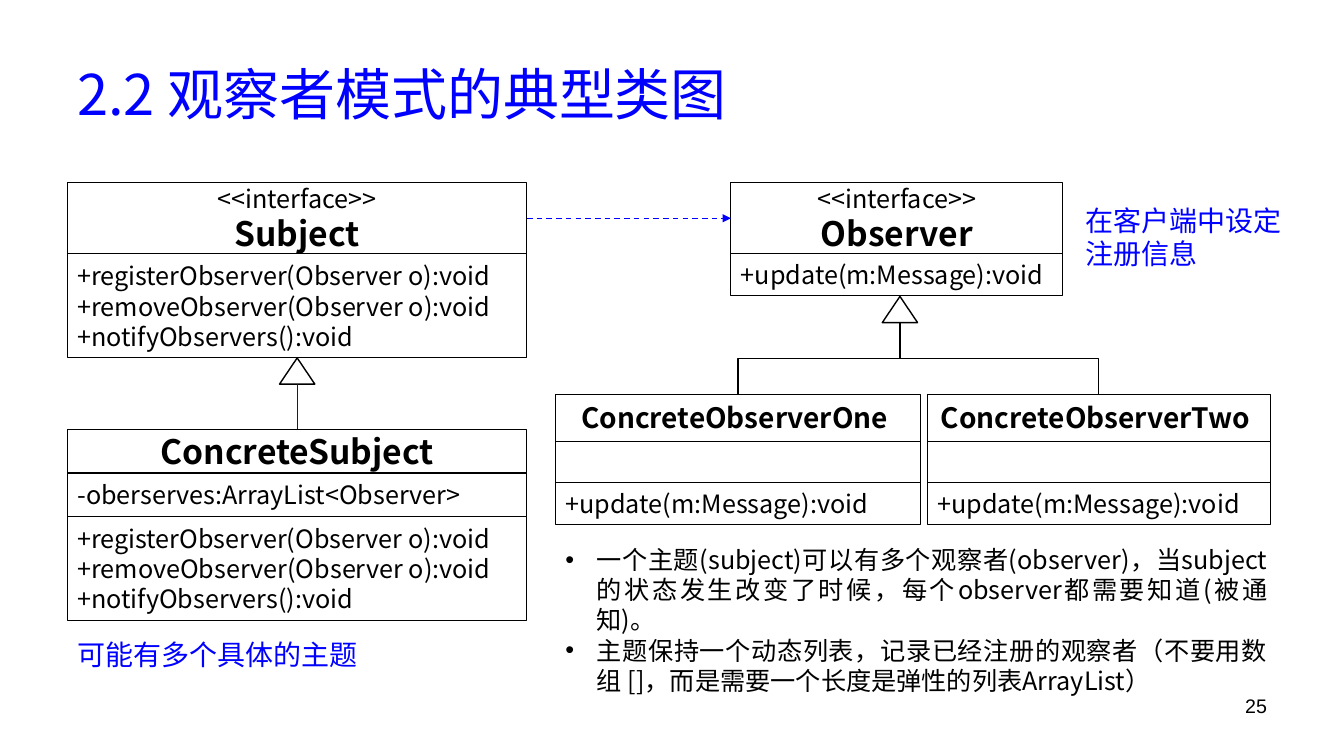
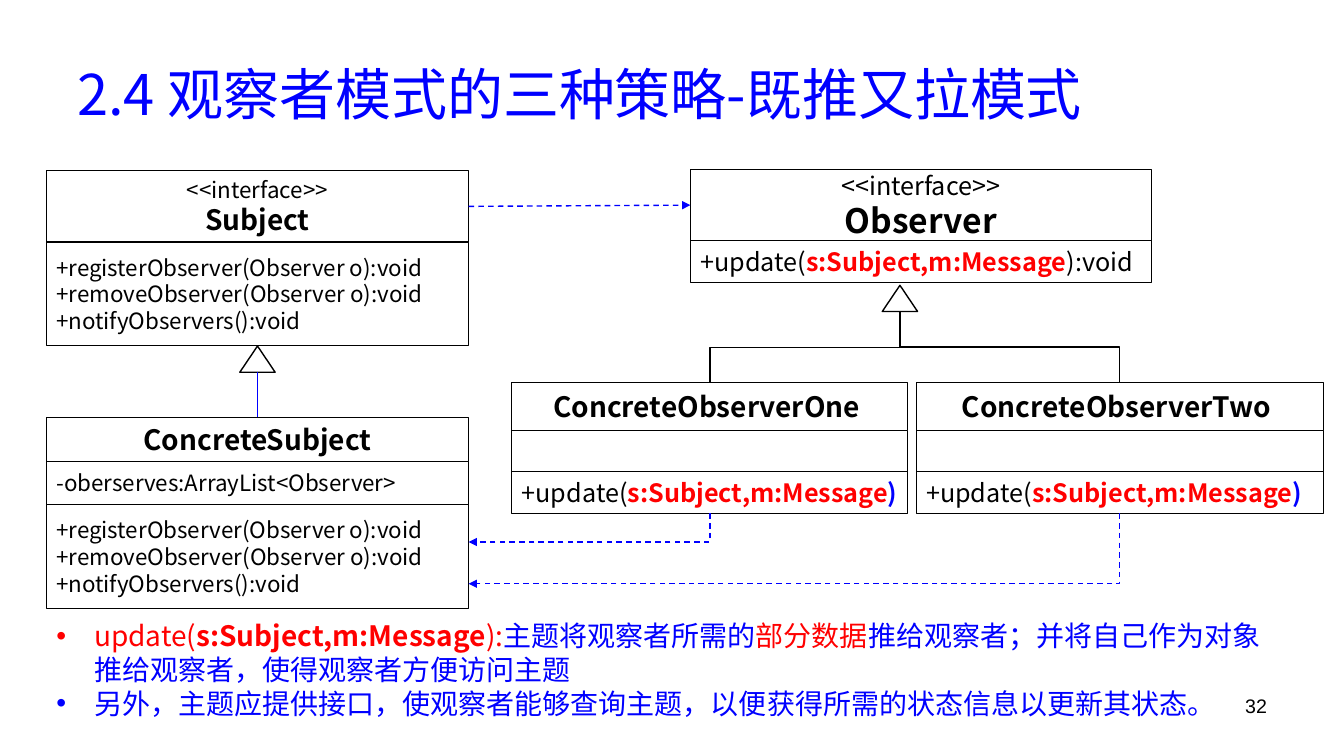
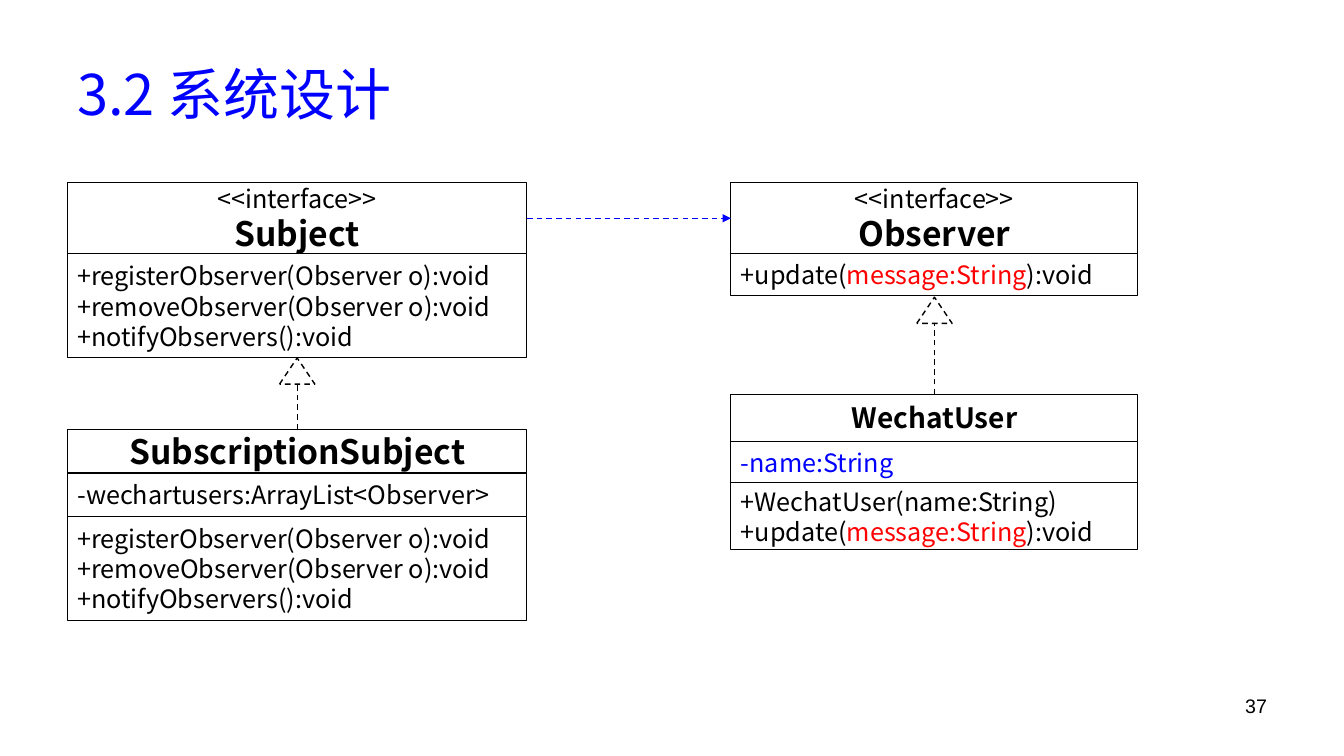
from lxml import etree
from pptx import Presentation
from pptx import util as u
from pptx.dml.color import RGBColor
from pptx.enum import dml, shapes, text
from pptx.oxml.ns import qn

BLACK = RGBColor(0x00, 0x00, 0x00)
WHITE = RGBColor(0xFF, 0xFF, 0xFF)
BLUE = RGBColor(0x00, 0x00, 0xFF)
RED = RGBColor(0xFF, 0x00, 0x00)

TEXT_FONT = "Noto Sans CJK SC"
NUMBER_FONT = "Arial"

INTERFACE_HEIGHT = 1.8
SUBJECT_NAME_HEIGHT = 1.1
OBSERVER_NAME_HEIGHT = 1.19
METHODS_HEIGHT = 2.62
MEMBER_HEIGHT = 1.05
TRIANGLE_WIDTH, TRIANGLE_HEIGHT = 0.89, 0.66

SUBJECT_METHODS = [
    "+registerObserver(Observer o):void",
    "+removeObserver(Observer o):void",
    "+notifyObservers():void",
]
UPDATE_MESSAGE = "+update(m:Message):void"
UPDATE_STRING = ["+update(", ("message:String", RED, False), "):void"]
PUSHED_ARGUMENTS = ("s:Subject,m:Message", RED, True)


def set_font(font, size, color, bold=False, name=TEXT_FONT):
    font.size = u.Pt(size)
    font.bold = bold
    font.color.rgb = color
    font.name = name
    etree.SubElement(font._rPr, qn("a:ea"), typeface=name)


def write_paragraph(paragraph, content, size, color=BLACK, bold=False,
                    name=TEXT_FONT, align=text.PP_ALIGN.LEFT):
    """Content is a string, or a list of strings and (text, color, bold) runs."""
    paragraph.alignment = align
    set_font(paragraph.font, size, color, bold, name)
    for piece in [content] if isinstance(content, str) else content:
        run = paragraph.add_run()
        if isinstance(piece, str):
            run.text = piece
        else:
            run.text, run.font.color.rgb, run.font.bold = piece


def next_paragraph(frame, index):
    return frame.paragraphs[0] if index == 0 else frame.add_paragraph()


def add_text(slide, left, top, width, height, content, size, color=BLACK,
             anchor=text.MSO_ANCHOR.TOP, **style):
    box = slide.shapes.add_textbox(u.Cm(left), u.Cm(top), u.Cm(width), u.Cm(height))
    frame = box.text_frame
    frame.word_wrap = True
    frame.vertical_anchor = anchor
    write_paragraph(frame.paragraphs[0], content, size, color, **style)


def add_bullets(slide, left, top, width, height, items, size, color, indent, align):
    box = slide.shapes.add_textbox(u.Cm(left), u.Cm(top), u.Cm(width), u.Cm(height))
    box.text_frame.word_wrap = True
    for index, item in enumerate(items):
        paragraph = next_paragraph(box.text_frame, index)
        properties = paragraph._p.get_or_add_pPr()
        properties.set("marL", str(u.Cm(indent)))
        properties.set("indent", str(-u.Cm(indent)))
        etree.SubElement(properties, qn("a:buFont"), typeface=NUMBER_FONT)
        etree.SubElement(properties, qn("a:buChar"), char="•")
        write_paragraph(paragraph, item, size, color, align=align)


def add_outlined(slide, kind, left, top, width, height, line_width, dashed=False):
    shape = slide.shapes.add_shape(
        kind, u.Cm(left), u.Cm(top), u.Cm(width), u.Cm(height))
    shape.shadow.inherit = False
    shape.fill.solid()
    shape.fill.fore_color.rgb = WHITE
    shape.line.color.rgb = BLACK
    shape.line.width = u.Pt(line_width)
    if dashed:
        shape.line.dash_style = dml.MSO_LINE.DASH
    return shape


def add_class(slide, left, top, width, name, name_height, sections,
              name_size=24, member_size=18, interface=False):
    """Stack a name cell and (height, members) cells; return the name cell."""
    center = text.PP_ALIGN.CENTER
    heading = [(name, name_size, True, center)]
    if interface:
        heading.insert(0, ("<<interface>>", member_size, False, center))
    cells = [(name_height, heading)]
    for height, members in sections:
        cells.append((height, [(member, member_size, False, text.PP_ALIGN.LEFT)
                               for member in members]))
    drawn = []
    for height, lines in cells:
        cell = add_outlined(slide, shapes.MSO_SHAPE.RECTANGLE,
                            left, top, width, height, 0.75)
        frame = cell.text_frame
        frame.word_wrap = False
        frame.vertical_anchor = text.MSO_ANCHOR.MIDDLE
        for index, (content, size, bold, align) in enumerate(lines):
            write_paragraph(next_paragraph(frame, index), content, size,
                            bold=bold, align=align)
        drawn.append(cell)
        top += height
    return drawn[0]


def add_triangle(slide, center, top, dashed=False):
    """Draw an inheritance head and return the middle of its base."""
    add_outlined(slide, shapes.MSO_SHAPE.ISOSCELES_TRIANGLE,
                 center - TRIANGLE_WIDTH / 2, top,
                 TRIANGLE_WIDTH, TRIANGLE_HEIGHT, 1, dashed)
    return center, top + TRIANGLE_HEIGHT


def add_line(slide, start, end, color, dashed=False, arrow=False,
             kind=shapes.MSO_CONNECTOR.STRAIGHT):
    connector = slide.shapes.add_connector(
        kind, *[u.Cm(value) for value in (*start, *end)])
    connector.line.color.rgb = color
    connector.line.width = u.Pt(1)
    if dashed:
        connector.line.dash_style = dml.MSO_LINE.DASH
    if arrow:
        etree.SubElement(connector.line._get_or_add_ln(), qn("a:tailEnd"),
                         type="triangle")
    etree.SubElement(connector._element.spPr, qn("a:effectLst"))
    return connector


def add_elbow(slide, start, end, color, preset="bentConnector3", **style):
    """Draw a bent connector that leaves its start vertically."""
    (x1, y1), (x2, y2) = start, end
    middle_x, middle_y = (x1 + x2) / 2, (y1 + y2) / 2
    half_width, half_height = abs(y2 - y1) / 2, abs(x2 - x1) / 2
    connector = add_line(
        slide, (middle_x - half_width, middle_y - half_height),
        (middle_x + half_width, middle_y + half_height), color,
        kind=shapes.MSO_CONNECTOR.ELBOW, **style)
    down = y2 > y1
    properties = connector._element.spPr
    frame = properties.find(qn("a:xfrm"))
    frame.set("rot", str((90 if down else 270) * 60000))
    if (x2 > x1) == down:
        frame.set("flipV", "1")
    properties.find(qn("a:prstGeom")).set("prst", preset)


def add_dependency(slide, source, target):
    connector = add_line(slide, (0, 0), (1, 1), BLUE, dashed=True, arrow=True)
    connector.begin_connect(source, 3)
    connector.end_connect(target, 1)


def add_inheritance(slide, child, center, top, color, dashed=False):
    base = add_triangle(slide, center, top, dashed)
    connector = add_line(slide, (center, base[1] + 1), base, color, dashed)
    connector.begin_connect(child, 0)


def add_subjects(slide, left, top, width, child_name, child_field, color,
                 dashed=False, **sizes):
    """Draw the Subject interface above its child; return the interface."""
    methods = (METHODS_HEIGHT, SUBJECT_METHODS)
    subject = add_class(slide, left, top, width, "Subject", INTERFACE_HEIGHT,
                        [methods], interface=True, **sizes)
    bottom = top + INTERFACE_HEIGHT + METHODS_HEIGHT
    child = add_class(slide, left, bottom + 1.8, width, child_name,
                      SUBJECT_NAME_HEIGHT,
                      [(SUBJECT_NAME_HEIGHT, [child_field]), methods], **sizes)
    add_inheritance(slide, child, left + width / 2, bottom, color, dashed)
    return subject


def add_observer(slide, left, top, width, update):
    return add_class(slide, left, top, width, "Observer", INTERFACE_HEIGHT,
                     [(MEMBER_HEIGHT, [update])], interface=True)


def add_concrete_observers(slide, top, places, update, triangle):
    """Draw both observers under one triangle; return their middles."""
    base = add_triangle(slide, *triangle)
    middles = []
    for number, (left, width) in zip(("One", "Two"), places):
        add_class(slide, left, top, width, f"ConcreteObserver{number} ",
                  OBSERVER_NAME_HEIGHT,
                  [(MEMBER_HEIGHT, []), (MEMBER_HEIGHT, [update])], name_size=20)
        middles.append(left + width / 2)
        add_elbow(slide, (middles[-1], top), base, BLACK)
    return middles


def add_slide(presentation, title, number):
    slide = presentation.slides.add_slide(presentation.slide_layouts[6])
    add_text(slide, 1.7, 0.76, 30.48, 3.18, title, 40, BLUE,
             anchor=text.MSO_ANCHOR.MIDDLE)
    add_text(slide, 24.28, 17.35, 7.9, 1.32, number, 14, name=NUMBER_FONT,
             align=text.PP_ALIGN.RIGHT)
    return slide


def build_class_diagram(presentation):
    slide = add_slide(presentation, "2.2 观察者模式的典型类图", "25")
    subject = add_subjects(slide, 1.7, 4.6, 11.58, "ConcreteSubject",
                           "-oberserves:ArrayList<Observer>", BLUE)
    observer = add_observer(slide, 18.42, 4.6, 8.36, UPDATE_MESSAGE)
    add_dependency(slide, subject, observer)
    add_concrete_observers(slide, 9.93, [(14, 9.19), (23.37, 8.64)],
                           UPDATE_MESSAGE, (22.68, 7.47))
    add_text(slide, 1.7, 15.93, 8.23, 1.12, "可能有多个具体的主题", 20, BLUE)
    add_text(slide, 27.1, 5, 5.74, 1.96, "在客户端中设定注册信息", 20, BLUE)
    add_bullets(slide, 14, 13.59, 18.19, 3.33, [
        "一个主题(subject)可以有多个观察者(observer)，当subject的状态发生改变了时候，"
        "每个observer都需要知道(被通知)。",
        "主题保持一个动态列表，记录已经注册的观察者（不要用数组 []，"
        "而是需要一个长度是弹性的列表ArrayList）",
    ], 18, BLACK, 0.79, text.PP_ALIGN.JUSTIFY)


def build_push_and_pull(presentation):
    slide = add_slide(presentation, "2.4 观察者模式的三种策略-既推又拉模式", "32")
    left, width = 1.17, 10.64
    subject = add_subjects(slide, left, 4.3, width, "ConcreteSubject",
                           "-oberserves:ArrayList<Observer>", BLUE,
                           name_size=20, member_size=16)
    observer = add_observer(slide, 17.4, 4.27, 11.61,
                            ["+update(", PUSHED_ARGUMENTS, "):void"])
    add_dependency(slide, subject, observer)
    top = 9.65
    middles = add_concrete_observers(
        slide, top, [(12.9, 9.98), (23.09, 10.26)],
        ["+update(", PUSHED_ARGUMENTS, (")", BLUE, True)], (22.68, 7.19))
    bottom = top + OBSERVER_NAME_HEIGHT + 2 * MEMBER_HEIGHT
    for middle, level in zip(middles, (13.66, 14.71)):
        add_elbow(slide, (middle, bottom), (left + width, level), BLUE,
                  preset="bentConnector2", dashed=True, arrow=True)
    add_bullets(slide, left, 15.47, 30.96, 2.82, [
        [("update(", RED, False), PUSHED_ARGUMENTS, ("):", RED, False),
         "主题将观察者所需的", ("部分数据", RED, False),
         "推给观察者；并将自己作为对象推给观察者，使得观察者方便访问主题"],
        "另外，主题应提供接口，使观察者能够查询主题，以便获得所需的状态信息以更新其状态。",
    ], 20, BLUE, 0.95, text.PP_ALIGN.LEFT)


def build_system_design(presentation):
    slide = add_slide(presentation, "3.2 系统设计", "37")
    subject = add_subjects(slide, 1.7, 4.6, 11.58, "SubscriptionSubject",
                           "-wechartusers:ArrayList<Observer>", BLACK, dashed=True)
    left, width = 18.42, 10.26
    observer = add_observer(slide, left, 4.6, width, UPDATE_STRING)
    add_dependency(slide, subject, observer)
    user = add_class(slide, left, 9.93, width, "WechatUser", OBSERVER_NAME_HEIGHT, [
        (MEMBER_HEIGHT, [[("-name:String", BLUE, False)]]),
        (1.68, ["+WechatUser(name:String)", UPDATE_STRING]),
    ], name_size=20)
    add_inheritance(slide, user, left + width / 2, 7.49, BLACK, dashed=True)


def main():
    presentation = Presentation()
    presentation.slide_width = u.Cm(33.87)
    presentation.slide_height = u.Cm(19.05)
    build_class_diagram(presentation)
    build_push_and_pull(presentation)
    build_system_design(presentation)
    presentation.save("out.pptx")


if __name__ == "__main__":
    main()
